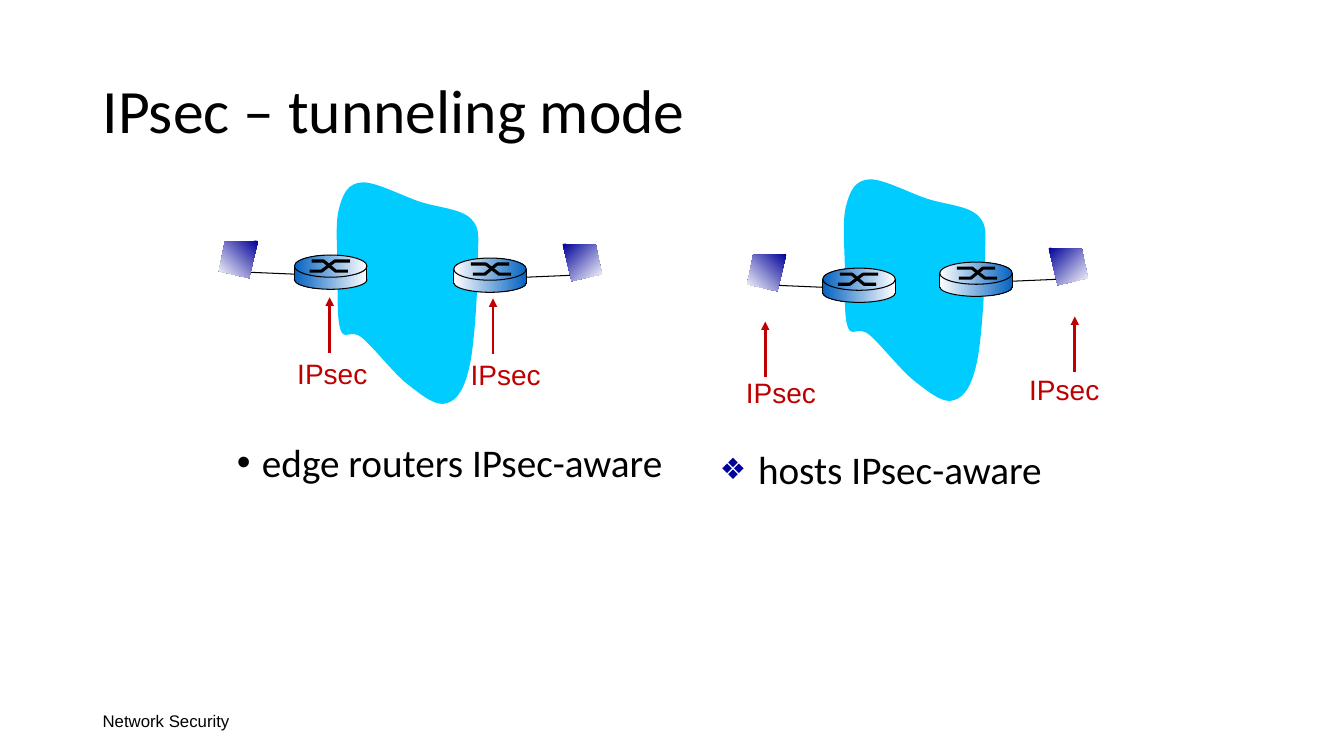
from lxml import etree
from pptx import Presentation
from pptx.dml.color import RGBColor
from pptx.enum.shapes import MSO_CONNECTOR, MSO_SHAPE
from pptx.enum.text import MSO_ANCHOR, MSO_AUTO_SIZE
from pptx.oxml.ns import qn
from pptx.util import Inches, Pt

OVAL, BAND = MSO_SHAPE.OVAL, MSO_SHAPE.RECTANGLE
STRAIGHT = MSO_CONNECTOR.STRAIGHT
MIDDLE, TOP = MSO_ANCHOR.MIDDLE, MSO_ANCHOR.TOP
GROW = MSO_AUTO_SIZE.SHAPE_TO_FIT_TEXT

COLUMNS, ROWS = 13.33, 7.5
CELL = Inches(1)
COLORS = {"ink": "000000", "alert": "C00000", "cloud": "00CCFF",
          "router": "0563C1", "host": "000099", "fade": "FFFFFF"}

CLOUD = [
    (0.27, 0.01), (0.13, 0.02), (0.08, 0.12), (0.04, 0.28),
    (0, 0.43), (0.03, 0.73), (0.03, 0.93),
    (0.03, 1.13), (0.02, 1.37), (0.06, 1.48),
    (0.1, 1.58), (0.16, 1.46), (0.27, 1.55),
    (0.38, 1.64), (0.58, 1.9), (0.72, 2.01),
    (0.86, 2.12), (1.01, 2.24), (1.11, 2.2),
    (1.22, 2.17), (1.29, 2.05), (1.34, 1.82),
    (1.39, 1.58), (1.42, 1.03), (1.42, 0.79),
    (1.42, 0.55), (1.45, 0.47), (1.35, 0.37),
    (1.25, 0.27), (1.02, 0.26), (0.84, 0.2),
    (0.66, 0.14), (0.4, 0), (0.27, 0.01),
]
HOST = [(-0.36, -0.14), (-0.69, -0.13), (-0.75, 0.16), (-0.45, 0.23), (-0.36, -0.14)]
CROSSING = [
    [(0.15, 0.16), (0.27, 0.16), (0.4, 0.06), (0.55, 0.06)],
    [(0.17, 0.06), (0.29, 0.06), (0.41, 0.16), (0.53, 0.16)],
]
LINKS = [((-0.47, 0.17), (0, 0.19)), ((0, 0.11), (0, 0.26)), ((0.72, 0.11), (0.72, 0.26))]
DRUM = [(OVAL, 0.15, 0.19), (BAND, 0.13, 0.12), (OVAL, 0, 0.22)]
DRUM_WIDTH = 0.72


def grid(*cells):
    return [round(cell * CELL) for cell in cells]


def color(name):
    return RGBColor.from_string(COLORS[name])


def stroke(line, name, points):
    line.color.rgb = color(name)
    line.width = Pt(points)


def fade(shape, start, end, angle):
    shape.fill.gradient()
    shape.fill.gradient_angle = angle
    for stop, name in zip(shape.fill.gradient_stops, (start, end)):
        stop.color.rgb = color(name)


def segment(shapes, start, end, name="ink", points=0.75, arrow=False):
    link = shapes.add_connector(STRAIGHT, *grid(*start, *end))
    stroke(link.line, name, points)
    if arrow:
        etree.SubElement(link.line._get_or_add_ln(), qn("a:tailEnd"), type="triangle")
    etree.SubElement(link._element.spPr, qn("a:effectLst"))


def outline(shapes, points, close):
    first, *rest = [tuple(grid(*point)) for point in points]
    builder = shapes.build_freeform(*first)
    builder.add_line_segments(rest, close=close)
    shape = builder.convert_to_shape()
    shape.shadow.inherit = False
    return shape


def cloud(shapes, left, top):
    shape = outline(shapes, [(left + x, top + y) for x, y in CLOUD], True)
    shape.fill.solid()
    shape.fill.fore_color.rgb = color("cloud")
    shape.line.fill.background()
    steps = list(shape._element.iter(qn("a:lnTo")))
    for i in range(0, len(steps), 3):
        curve = etree.Element(qn("a:cubicBezTo"))
        steps[i].addprevious(curve)
        for step in steps[i:i + 3]:
            curve.append(step[0])
            step.getparent().remove(step)


def site(slide_shapes, edge, top, side):
    shapes = slide_shapes.add_group_shape().shapes

    def place(points):
        return [(edge + side * x, top + y) for x, y in points]

    host_link, *drum_sides = LINKS
    segment(shapes, *place(host_link))
    left = min(edge, edge + side * DRUM_WIDTH)
    for kind, drop, height in DRUM:
        part = shapes.add_shape(kind, *grid(left, top + drop, DRUM_WIDTH, height))
        part.shadow.inherit = False
        fade(part, *(("router", "fade") if side > 0 else ("fade", "router")), 0)
        if kind == OVAL:
            stroke(part.line, "ink", 0.75)
        else:
            part.line.fill.background()
    for strand in CROSSING:
        path_shape = outline(shapes, place(strand), False)
        path_shape.fill.background()
        stroke(path_shape.line, "ink", 2.25)
    for drum_side in drum_sides:
        segment(shapes, *place(drum_side))
    host = outline(shapes, place(HOST), True)
    fade(host, "host", "fade", 225 if side > 0 else 315)
    host.line.fill.background()


def text(shapes, box, words, size, font, name="ink", anchor=TOP, wrap=True, spacing=None, bullet=None):
    frame = shapes.add_textbox(*grid(*box)).text_frame
    frame.word_wrap = wrap
    frame.vertical_anchor = anchor
    if not wrap:
        frame.auto_size = GROW
    frame.text = words
    paragraph = frame.paragraphs[0]
    if bullet:
        mark, indent, bullet_color, percent = bullet
        props = paragraph._p.get_or_add_pPr()
        props.set("marL", str(round(indent * CELL)))
        props.set("indent", str(-round(indent * CELL)))
        tint = etree.SubElement(props, qn("a:buClr"))
        etree.SubElement(tint, qn("a:srgbClr"), val=COLORS[bullet_color])
        etree.SubElement(props, qn("a:buSzPct"), val=str(percent * 1000))
        etree.SubElement(props, qn("a:buFont"), typeface="Arial")
        etree.SubElement(props, qn("a:buChar"), char=mark)
    if spacing:
        paragraph.line_spacing = spacing
    run_font = paragraph.runs[0].font
    run_font.size, run_font.name = Pt(size), font
    run_font.color.rgb = color(name)


def ipsec_pointer(shapes, x, tip, label_left, label_top):
    segment(shapes, (x, tip + 0.55), (x, tip), "alert", 2, arrow=True)
    text(shapes, (label_left, label_top, 0.93, 0.43), "IPsec", 20, "Arial", "alert", wrap=False)


def main():
    deck = Presentation()
    deck.slide_width, deck.slide_height = grid(COLUMNS, ROWS)
    shapes = deck.slides.add_slide(deck.slide_layouts[6]).shapes

    text(shapes, (0.92, 6.95, 3, 0.4), "Network Security", 12, "Arial", anchor=MIDDLE)
    text(shapes, (0.92, 0.4, 11.5, 1.45), "IPsec – tunneling mode", 44, "Calibri",
         anchor=MIDDLE, spacing=0.9)
    text(shapes, (2.25, 4.35, 4.48, 1.42), "edge routers IPsec-aware", 28, "Calibri",
         spacing=0.9, bullet=("•", 0.25, "ink", 100))
    text(shapes, (7.04, 4.37, 4.48, 1.42), "hosts IPsec-aware", 28, "Calibri",
         bullet=("❖", 0.38, "host", 75))

    for left, top in [(3.32, 1.8), (8.35, 1.77)]:
        cloud(shapes, left, top)
    for pointer in [(3.27, 2.95, 2.85, 3.49), (4.89, 2.96, 4.57, 3.5),
                    (7.59, 3.19, 7.3, 3.68), (10.66, 3.14, 10.11, 3.65)]:
        ipsec_pointer(shapes, *pointer)
    for edge, top, side in [(8.16, 2.66, 1), (2.92, 2.53, 1), (5.22, 2.56, -1), (10.04, 2.6, -1)]:
        site(shapes, edge, top, side)

    deck.save("out.pptx")


if __name__ == "__main__":
    main()
